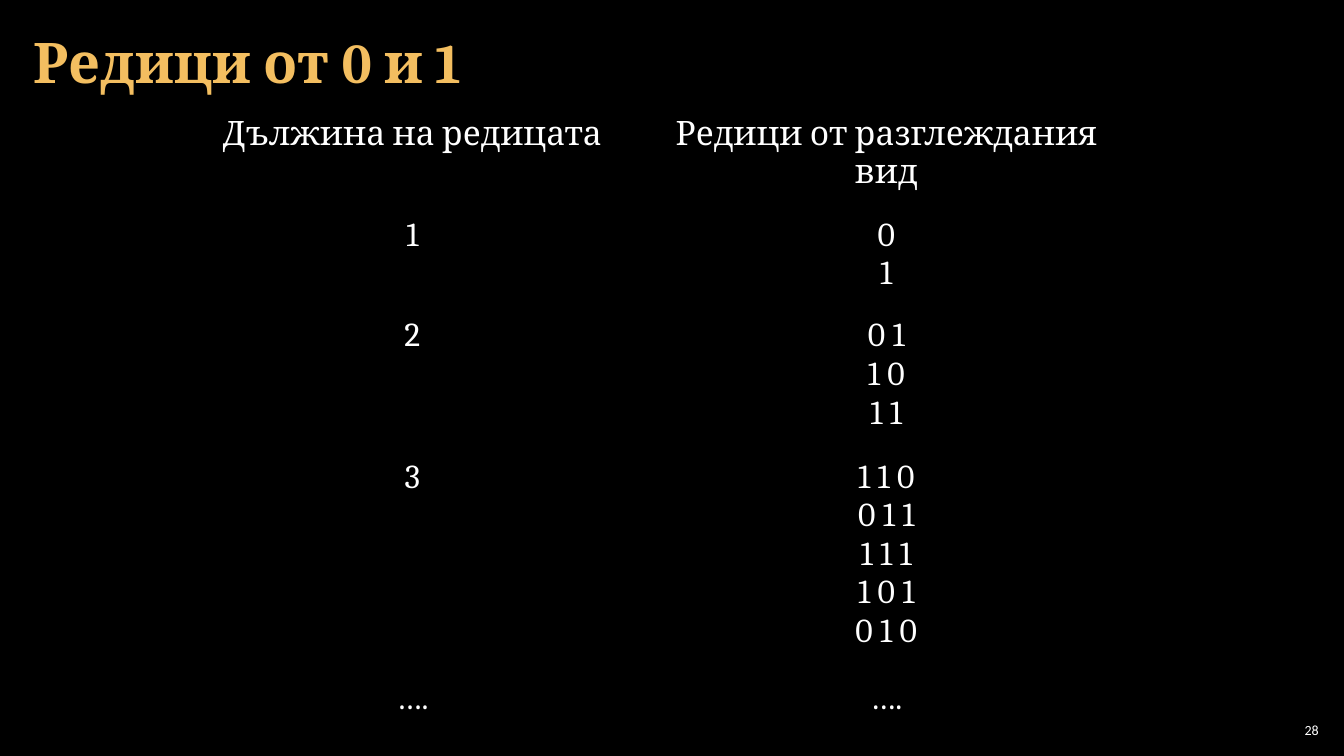
from lxml.etree import SubElement
from pptx import Presentation
from pptx.dml.color import RGBColor
from pptx.enum.text import MSO_ANCHOR as Anchor, PP_ALIGN as Align
from pptx.oxml.ns import qn
from pptx.util import Inches, Pt

BLACK = RGBColor(0x00, 0x00, 0x00)
WHITE = RGBColor(0xFF, 0xFF, 0xFF)
GOLD = RGBColor(0xF3, 0xBE, 0x60)
NO_GRID_STYLE = "{2D5ABB26-0587-4C30-8999-92F81FD0307C}"


class SlideBuilder:
    heading_font = "Cambria"
    number_font = "Calibri"

    def __init__(self, slide):
        self.slide = slide
        fill = slide.background.fill
        fill.solid()
        fill.fore_color.rgb = BLACK

    def add_text_run(self, paragraph, text, size, font, color, align, bold=False):
        paragraph.alignment = align
        run = paragraph.add_run()
        run.text = text
        run.font.size = Pt(size)
        run.font.name = font
        run.font.bold = bold
        run.font.color.rgb = color

    def margins(self, holder, side, vertical):
        holder.margin_left = holder.margin_right = Inches(side)
        holder.margin_top = holder.margin_bottom = Inches(vertical)

    def text(self, box, text, size, font, color, align, side, bold=False, spacing=1.0):
        frame = self.slide.shapes.add_textbox(*map(Inches, box)).text_frame
        frame.word_wrap = True
        frame.vertical_anchor = Anchor.MIDDLE
        self.margins(frame, side, 0.04)
        paragraph = frame.paragraphs[0]
        paragraph.line_spacing = spacing
        self.add_text_run(paragraph, text, size, font, color, align, bold)

    def cell(self, cell, lines):
        self.margins(cell, 0.13, 0.1)
        # Borders come before the fill in the cell properties
        properties = cell._tc.get_or_add_tcPr()
        for side in ("a:lnL", "a:lnR", "a:lnT", "a:lnB"):
            SubElement(SubElement(properties, qn(side)), qn("a:noFill"))
        cell.fill.background()
        frame = cell.text_frame
        for index, line in enumerate(lines):
            paragraph = frame.add_paragraph() if index else frame.paragraphs[0]
            self.add_text_run(paragraph, line, 24, self.heading_font, WHITE, Align.CENTER)

    def table(self, box, rows, heights):
        table = self.slide.shapes.add_table(
            len(rows), len(rows[0]), *map(Inches, box)).table
        table.first_row = table.horz_banding = False
        table._tbl.tblPr.find(qn("a:tableStyleId")).text = NO_GRID_STYLE
        for row, height, contents in zip(table.rows, heights, rows):
            row.height = Inches(height)
            for cell, lines in zip(row.cells, contents):
                self.cell(cell, lines)


def main():
    deck = Presentation()
    deck.slide_width, deck.slide_height = Inches(13.33), Inches(7.5)
    builder = SlideBuilder(deck.slides.add_slide(deck.slide_layouts[6]))

    # Title
    builder.text((0.21, 0.04, 12.91, 1.21), "Редици от 0 и 1", 40,
                 builder.heading_font, GOLD, Align.LEFT, 0.12, True, 0.9)

    # Sequences by length
    sequences = [
        (["Дължина на редицата"], ["Редици от разглеждания вид"]),
        (["1"], ["0", "1"]),
        (["2"], ["0 1", "1 0", "1 1"]),
        (["3"], ["1 1 0", "0 1 1", "1 1 1", "1 0 1", "0 1 0"]),
        (["…."], ["…."]),
    ]
    builder.table((1.74, 1.04, 9.4, 6.2), sequences, (1, 1, 1.4, 2.2, 0.6))

    # Slide number
    builder.text((12.65, 7.14, 0.47, 0.21), "28", 10,
                 builder.number_font, WHITE, Align.RIGHT, 0.04)

    deck.save("out.pptx")


if __name__ == "__main__":
    main()
